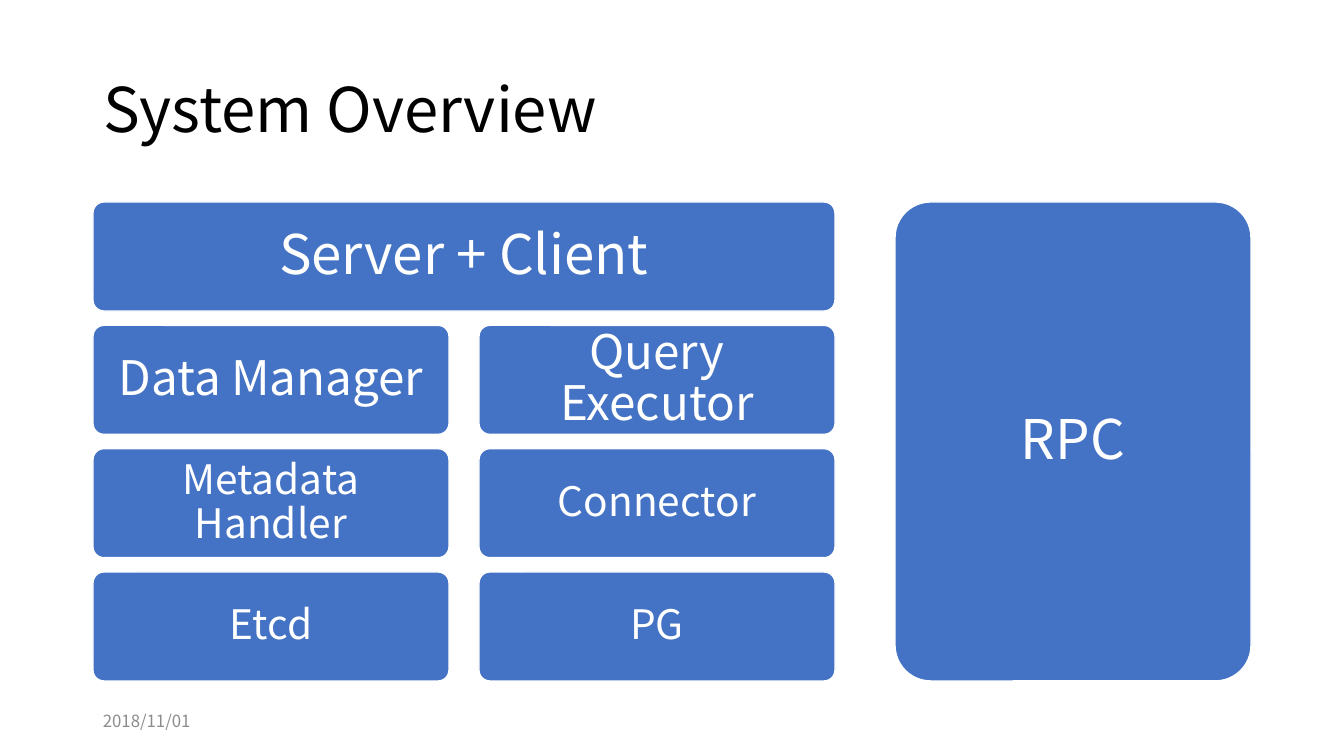
import pptx
import pptx.util
import pptx.dml.color
import pptx.enum.shapes
import pptx.enum.text

# Content: label, column, row, columns spanned, rows spanned, level
TITLE = "System Overview"
DATE = "2018/11/01"
BLOCKS = [
    ("Server + Client", 0, 0, 2, 1, "top"),
    ("Data Manager", 0, 1, 1, 1, "middle"),
    ("Metadata Handler", 0, 2, 1, 1, "base"),
    ("Etcd", 0, 3, 1, 1, "base"),
    ("Query Executor", 1, 1, 1, 1, "middle"),
    ("Connector", 1, 2, 1, 1, "base"),
    ("PG", 1, 3, 1, 1, "base"),
    ("RPC", 2, 0, 1, 4, "top"),
]
# Level: font size in points, inset in px
LEVELS = {"top": (39, 16), "middle": (34, 14), "base": (29, 12)}

# Style
FONT = "Noto Sans CJK SC"
BLACK = pptx.dml.color.RGBColor(0x00, 0x00, 0x00)
WHITE = pptx.dml.color.RGBColor(0xFF, 0xFF, 0xFF)
GRAY = pptx.dml.color.RGBColor(0x8C, 0x8C, 0x8C)
BLUE = pptx.dml.color.RGBColor(0x44, 0x72, 0xC4)
LEFT = pptx.enum.text.PP_ALIGN.LEFT
CENTER = pptx.enum.text.PP_ALIGN.CENTER

# Grid in px
PX = 914400 / 100.8
MARGIN = 93
COLUMN_LEFTS = (93, 479, 895)
COLUMN_WIDTH = 356
GRID_TOP, GRID_HEIGHT = 202, 479
ROW_HEIGHT, ROW_COUNT = 109, 4
ROW_PITCH = (GRID_HEIGHT - ROW_HEIGHT) / (ROW_COUNT - 1)


def emu(px):
    return pptx.util.Emu(round(px * PX))


def write(shape, text, size, color, align=LEFT, spacing=1.0, inset=None):
    frame = shape.text_frame
    frame.word_wrap = True
    frame.auto_size = pptx.enum.text.MSO_AUTO_SIZE.NONE
    frame.vertical_anchor = pptx.enum.text.MSO_ANCHOR.MIDDLE
    if inset is not None:
        frame.margin_left = frame.margin_right = emu(inset)
        frame.margin_top = frame.margin_bottom = emu(inset)
    paragraph = frame.paragraphs[0]
    paragraph.alignment = align
    paragraph.line_spacing = spacing
    run = paragraph.add_run()
    run.text = text
    run.font.name = FONT
    run.font.size = pptx.util.Pt(size)
    run.font.color.rgb = color


def add_block(slide, label, column, row, column_span, row_span, level):
    left = COLUMN_LEFTS[column]
    width = COLUMN_LEFTS[column + column_span - 1] + COLUMN_WIDTH - left
    top = GRID_TOP + row * ROW_PITCH
    height = ROW_HEIGHT + (row_span - 1) * ROW_PITCH
    block = slide.shapes.add_shape(
        pptx.enum.shapes.MSO_SHAPE.ROUNDED_RECTANGLE,
        emu(left), emu(top), emu(width), emu(height))
    block.adjustments[0] = 0.1
    block.shadow.inherit = False
    block.fill.solid()
    block.fill.fore_color.rgb = BLUE
    block.line.color.rgb = WHITE
    block.line.width = pptx.util.Pt(1)
    size, inset = LEVELS[level]
    write(block, label, size, WHITE, align=CENTER, spacing=0.9, inset=inset)


def main():
    deck = pptx.Presentation()
    deck.slide_width = emu(1344)
    deck.slide_height = emu(756)
    slide = deck.slides.add_slide(deck.slide_layouts[5])

    # Title
    title = slide.shapes.title
    title.left, title.top = emu(MARGIN), emu(40)
    title.width, title.height = emu(1159), emu(146)
    write(title, TITLE, 44, BLACK, spacing=0.9)

    # System blocks
    for block in BLOCKS:
        add_block(slide, *block)

    # Date
    date = slide.shapes.add_textbox(emu(MARGIN), emu(701), emu(302), emu(40))
    write(date, DATE, 12, GRAY)

    deck.save("out.pptx")


if __name__ == "__main__":
    main()
